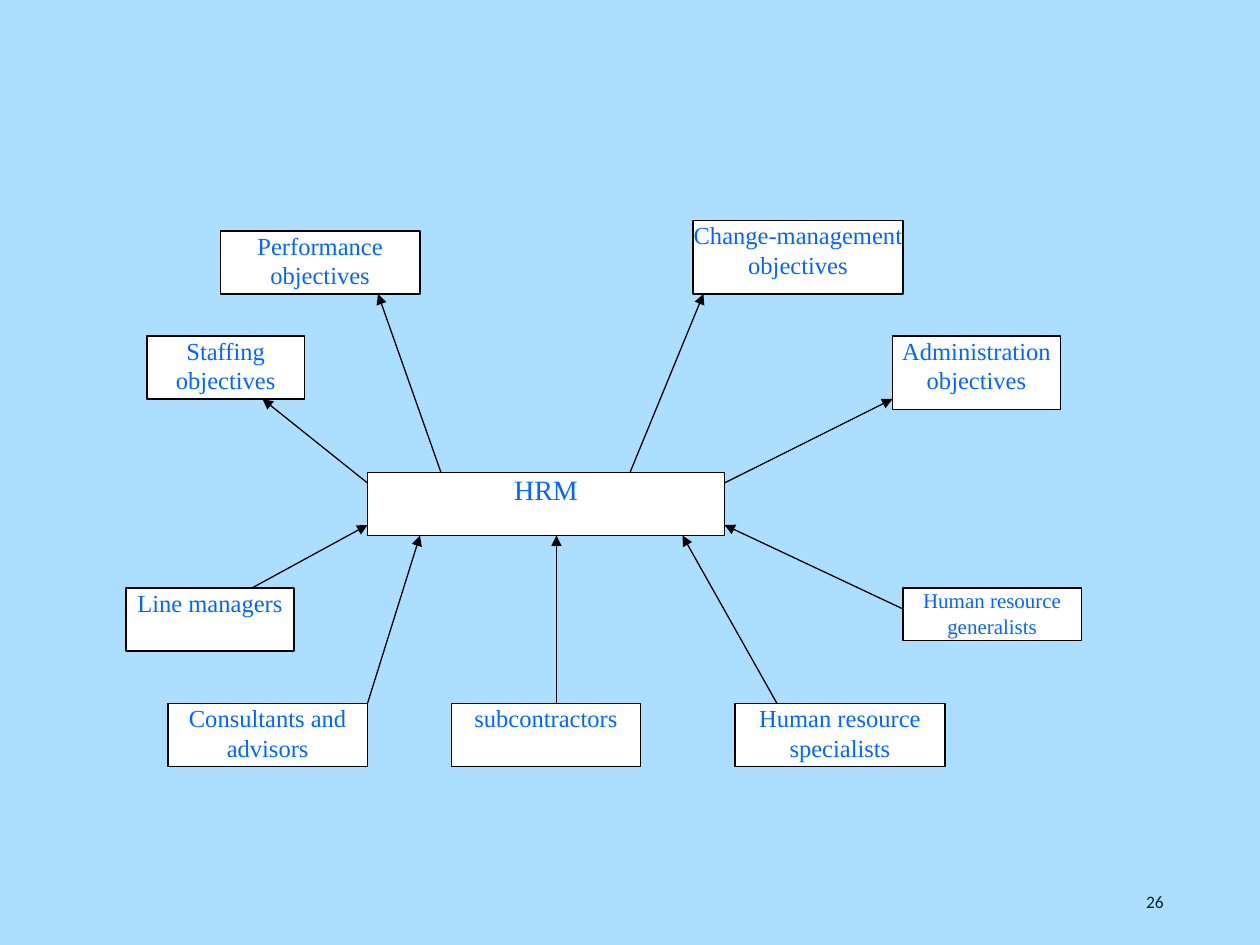
from pptx import Presentation
from pptx.dml.color import RGBColor
from pptx.enum.shapes import MSO_CONNECTOR as Connector, MSO_SHAPE as Shape
from pptx.enum.text import MSO_ANCHOR as Anchor, PP_ALIGN as Align
from pptx.oxml.ns import qn
from pptx.util import Pt
from lxml.etree import SubElement

THEME = {
    "background": "ACDFFF", "box": "FFFFFF", "line": "000000",
    "label": "0066FF", "number": "061E3B",
    "label_font": "Times New Roman", "number_font": "Calibri",
    "hub_size": 16, "label_size": 14, "small_size": 12, "number_size": 10,
    "line_width": 0.75,
}

BOXES = [
    ("Staffing objectives", (84, 192, 90, 36), "label_size"),
    ("Change-management objectives", (396, 126, 120, 42), "label_size"),
    ("Administration objectives", (510, 192, 96, 42), "label_size"),
    ("Performance objectives", (126, 132, 114, 36), "label_size"),
    ("HRM", (210, 270, 204, 36), "hub_size"),
    ("Human resource specialists", (420, 402, 120, 36), "label_size"),
    ("Consultants and advisors", (96, 402, 114, 36), "label_size"),
    ("Human resource generalists", (516, 336, 102, 30), "small_size"),
    ("Line managers", (72, 336, 96, 36), "label_size"),
    ("subcontractors", (258, 402, 108, 36), "label_size"),
]

ARROWS_TIP_TO_TAIL = [
    (150, 228, 210, 276),
    (216, 168, 252, 270),
    (402, 168, 360, 270),
    (510, 228, 414, 276),
    (210, 300, 144, 336),
    (240, 306, 210, 402),
    (318, 306, 318, 402),
    (390, 306, 444, 402),
    (414, 300, 516, 348),
]

PAGE_NUMBER = ("26", (604, 491, 68, 34))


def color(name):
    return RGBColor.from_string(THEME[name])


def points(values):
    return [Pt(v) for v in values]


def set_text(tf, text, align, role, size):
    tf.word_wrap = True
    p = tf.paragraphs[0]
    p.text = text
    p.alignment = align
    font = p.runs[0].font
    font.name = THEME[role + "_font"]
    font.size = Pt(THEME[size])
    font.color.rgb = color(role)


def set_line(line):
    line.color.rgb = color("line")
    line.width = Pt(THEME["line_width"])


def add_box(s, text, frame, size):
    sp = s.shapes.add_shape(Shape.RECTANGLE, *points(frame))
    sp.shadow.inherit = False
    sp.fill.solid()
    sp.fill.fore_color.rgb = color("box")
    set_line(sp.line)
    tf = sp.text_frame
    tf.margin_left = tf.margin_right = tf.margin_top = tf.margin_bottom = 0
    tf.vertical_anchor = Anchor.TOP
    set_text(tf, text, Align.CENTER, "label", size)


def add_arrow(s, ends):
    arrow = s.shapes.add_connector(Connector.STRAIGHT, *points(ends))
    set_line(arrow.line)
    SubElement(arrow.line._get_or_add_ln(), qn("a:headEnd"), type="triangle")
    SubElement(arrow._element.spPr, qn("a:effectLst"))


def add_page_number(s, text, frame):
    tf = s.shapes.add_textbox(*points(frame)).text_frame
    tf.vertical_anchor = Anchor.BOTTOM
    set_text(tf, text, Align.RIGHT, "number", "number_size")


def main():
    prs = Presentation()
    prs.slide_width, prs.slide_height = Pt(720), Pt(540)
    s = prs.slides.add_slide(prs.slide_layouts[6])
    s.background.fill.solid()
    s.background.fill.fore_color.rgb = color("background")
    add_page_number(s, *PAGE_NUMBER)
    for box in BOXES:
        add_box(s, *box)
    for ends in ARROWS_TIP_TO_TAIL:
        add_arrow(s, ends)
    prs.save("out.pptx")


if __name__ == "__main__":
    main()
